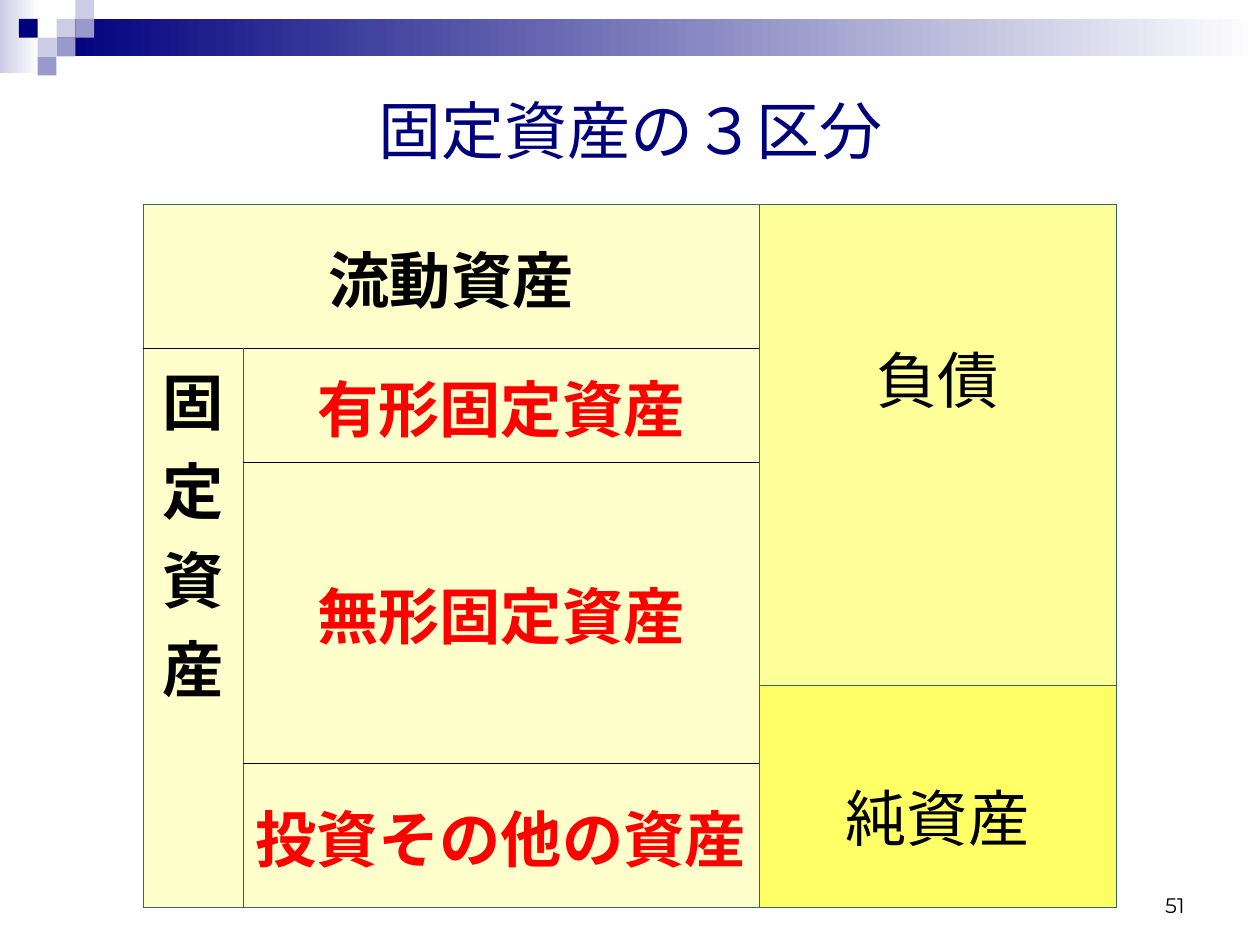
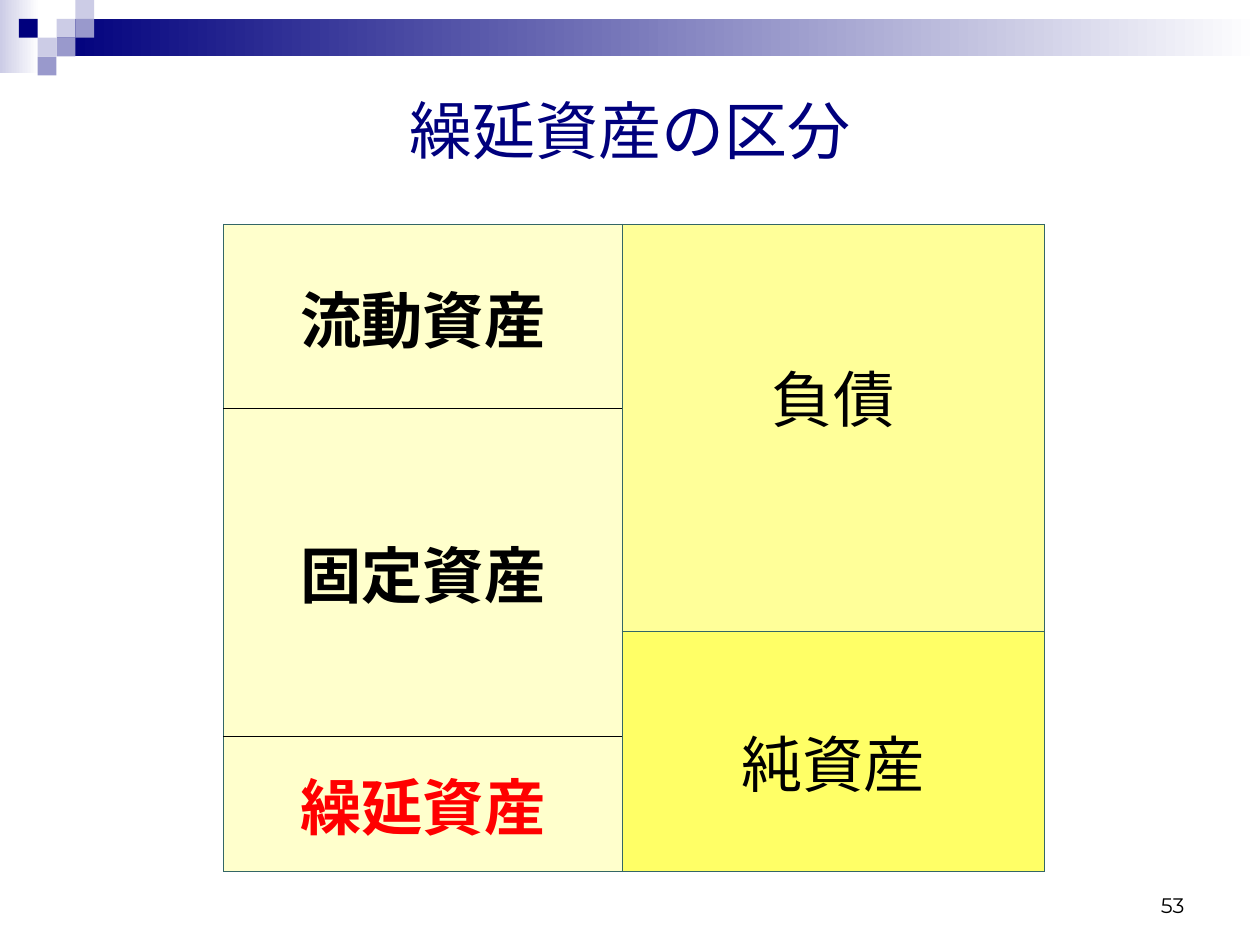
from lxml.etree import SubElement
from pptx import Presentation
from pptx.dml.color import RGBColor
from pptx.enum.lang import MSO_LANGUAGE_ID
from pptx.enum.shapes import MSO_SHAPE
from pptx.enum.text import MSO_ANCHOR, PP_ALIGN
from pptx.oxml.ns import qn
from pptx.util import Cm, Pt

NAVY = RGBColor(0x00, 0x00, 0x7D)
LAVENDER = RGBColor(0xCC, 0xCC, 0xE6)
PERIWINKLE = RGBColor(0x99, 0x99, 0xCC)
WHITE = RGBColor(0xFF, 0xFF, 0xFF)
BLACK = RGBColor(0x00, 0x00, 0x00)
RED = RGBColor(0xFF, 0x00, 0x00)
TEAL = RGBColor(0x33, 0x66, 0x66)
ASSET = RGBColor(0xFF, 0xFF, 0xCC)
LIABILITY = RGBColor(0xFF, 0xFF, 0x99)
EQUITY = RGBColor(0xFF, 0xFF, 0x66)

MOSAIC_UNIT = 0.38
MOSAIC = [(3, 1, LAVENDER), (4, 0, LAVENDER), (4, 1, PERIWINKLE), (2, 2, LAVENDER),
          (1, 1, NAVY), (3, 2, PERIWINKLE), (2, 3, PERIWINKLE)]
BANDS = [((0, 0, 0.79, 1.47), LAVENDER), ((1.14, 0.38, 24.26, 0.76), NAVY)]

SIDE_DROP = {LIABILITY: 2.57, EQUITY: 1.7}

BALANCE_SHEETS = [
    {
        "title": "固定資産の３区分", "title_box": (1.27, 1.27, 22.86, 2.67), "number": "51",
        "origin": (-0.61, 4.12),
        "columns": [3.5, 2.01, 10.4, 7.2, 2.9],
        "rows": [2.9, 2.3, 4.5, 1.57, 2.9],
        "accounts": [
            ("流動資産", (0, 1, 0, 2), ASSET, BLACK),
            ("固定資産", (1, 1, 4, 1), ASSET, BLACK),
            ("有形固定資産", (1, 2, 1, 2), ASSET, RED),
            ("無形固定資産", (2, 2, 3, 2), ASSET, RED),
            ("投資その他の資産", (4, 2, 4, 2), ASSET, RED),
            ("負債", (0, 3, 2, 3), LIABILITY, BLACK),
            ("純資産", (3, 3, 4, 3), EQUITY, BLACK),
        ],
        "top_anchored": "固定資産",
    },
    {
        "title": "繰延資産の区分", "title_box": (1.27, 0.71, 22.86, 3.81), "number": "53",
        "origin": (2.1, 4.52),
        "columns": [2.41, 8.03, 8.51, 1.24],
        "rows": [3.71, 4.5, 2.11, 2.72],
        "accounts": [
            ("流動資産", (0, 1, 0, 1), ASSET, BLACK),
            ("固定資産", (1, 1, 2, 1), ASSET, BLACK),
            ("繰延資産", (3, 1, 3, 1), ASSET, RED),
            ("負債", (0, 2, 1, 2), LIABILITY, BLACK),
            ("純資産", (2, 2, 3, 2), EQUITY, BLACK),
        ],
        "top_anchored": None,
    },
]


def write(frame, text, size, color, align, font="Arial", bold=False):
    """Put one formatted run into the first paragraph of a frame."""
    paragraph = frame.paragraphs[0]
    paragraph.alignment = align
    run = paragraph.add_run()
    run.text = text
    run.font.name = font
    run.font.size = Pt(size)
    run.font.bold = bold
    run.font.color.rgb = color
    run.font.language_id = MSO_LANGUAGE_ID.JAPANESE


def place(shape, box):
    """Move and size a shape to a box in centimetres."""
    shape.left, shape.top, shape.width, shape.height = map(Cm, box)


def decorate_master(master, slide):
    """Draw the gradient bands and mosaic squares, then move them to the master."""
    squares = [((col * MOSAIC_UNIT, row * MOSAIC_UNIT, MOSAIC_UNIT, MOSAIC_UNIT), color)
               for col, row, color in MOSAIC]
    for order, (box, color) in enumerate(BANDS + squares):
        block = slide.shapes.add_shape(MSO_SHAPE.RECTANGLE, *map(Cm, box))
        block.shadow.inherit = False
        block.line.fill.background()
        if order < len(BANDS):
            block.fill.gradient()
            block.fill.gradient_angle = 0
            for stop, shade, position in zip(block.fill.gradient_stops, (color, WHITE), (0, 1)):
                stop.color.rgb = shade
                stop.position = position
        else:
            block.fill.solid()
            block.fill.fore_color.rgb = color
        block.element.nvSpPr.cNvPr.id = 100 + order
        master.shapes.element.insert(2 + order, block.element)


def draw_border(cell, side, color):
    """Give one side of a cell a thin line, or none without a colour."""
    line = SubElement(cell._tc.get_or_add_tcPr(), qn(f"a:ln{side}"), w=str(Pt(0.45)))
    if color is None:
        SubElement(line, qn("a:noFill"))
    else:
        SubElement(SubElement(line, qn("a:solidFill")), qn("a:srgbClr"), val=str(color))


def add_block(table, span, borders, fill):
    """Outline, fill and merge a span of cells, and return its first cell."""
    top, left, bottom, right = span
    for row in range(top, bottom + 1):
        for col in range(left, right + 1):
            cell = table.cell(row, col)
            for side in "LRTB":
                draw_border(cell, side, borders.get(side))
            if fill is None:
                cell.fill.background()
            else:
                cell.fill.solid()
                cell.fill.fore_color.rgb = fill
    first = table.cell(top, left)
    if (top, left) != (bottom, right):
        first.merge(table.cell(bottom, right))
    return first


def add_account(table, account, last_row, top_anchored):
    """Draw and label the block of one account."""
    name, span, fill, color = account
    top, _, bottom, _ = span
    divider = BLACK if fill == ASSET else TEAL
    borders = {"L": TEAL, "R": TEAL, "T": divider if top else TEAL,
               "B": divider if bottom < last_row else TEAL}
    label = add_block(table, span, borders, fill)
    at_top = fill in SIDE_DROP or name == top_anchored
    label.vertical_anchor = MSO_ANCHOR.TOP if at_top else MSO_ANCHOR.MIDDLE
    if fill in SIDE_DROP:
        label.margin_top = Cm(SIDE_DROP[fill])
    write(label.text_frame, name, 35, color, PP_ALIGN.CENTER, bold=fill == ASSET)


def add_balance_sheet(slide, sheet):
    """Fill one slide with its title, number and balance sheet."""
    title = slide.shapes.title
    place(title, sheet["title_box"])
    title.text_frame.vertical_anchor = MSO_ANCHOR.MIDDLE
    write(title.text_frame, sheet["title"], 36, NAVY, PP_ALIGN.CENTER)

    number = slide.shapes.add_textbox(Cm(18.21), Cm(17.35), Cm(5.92), Cm(1.27)).text_frame
    number.word_wrap = True
    number.vertical_anchor = MSO_ANCHOR.BOTTOM
    write(number, sheet["number"], 12, BLACK, PP_ALIGN.RIGHT, "Montserrat")

    columns, rows = sheet["columns"], sheet["rows"]
    box = (*sheet["origin"], sum(columns), sum(rows))
    table = slide.shapes.add_table(len(rows), len(columns), *map(Cm, box)).table
    table.first_row = table.horz_banding = False
    for column, width in zip(table.columns, columns):
        column.width = Cm(width)
    for row, height in zip(table.rows, rows):
        row.height = Cm(height)
    last_row, last_col = len(rows) - 1, len(columns) - 1
    for col, facing_side in ((0, "R"), (last_col, "L")):
        add_block(table, (0, col, last_row, col), {facing_side: TEAL}, None)
    for account in sheet["accounts"]:
        add_account(table, account, last_row, sheet["top_anchored"])


def main():
    """Build the balance sheet slides."""
    deck = Presentation()
    deck.slide_width, deck.slide_height = Cm(25.4), Cm(19.05)
    title_only = deck.slide_layouts[5]
    for sheet in BALANCE_SHEETS:
        slide = deck.slides.add_slide(title_only)
        if len(deck.slides) == 1:
            decorate_master(deck.slide_master, slide)
        add_balance_sheet(slide, sheet)
    deck.save("out.pptx")


if __name__ == "__main__":
    main()
